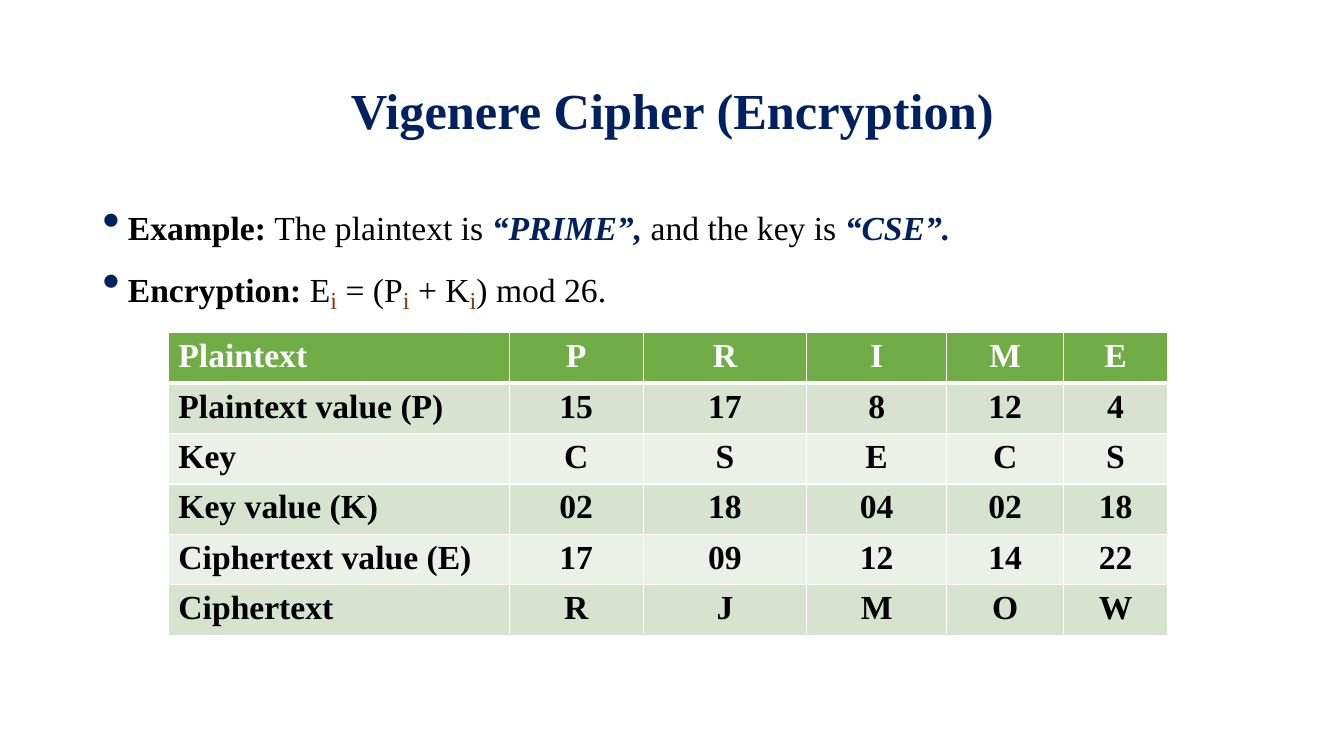
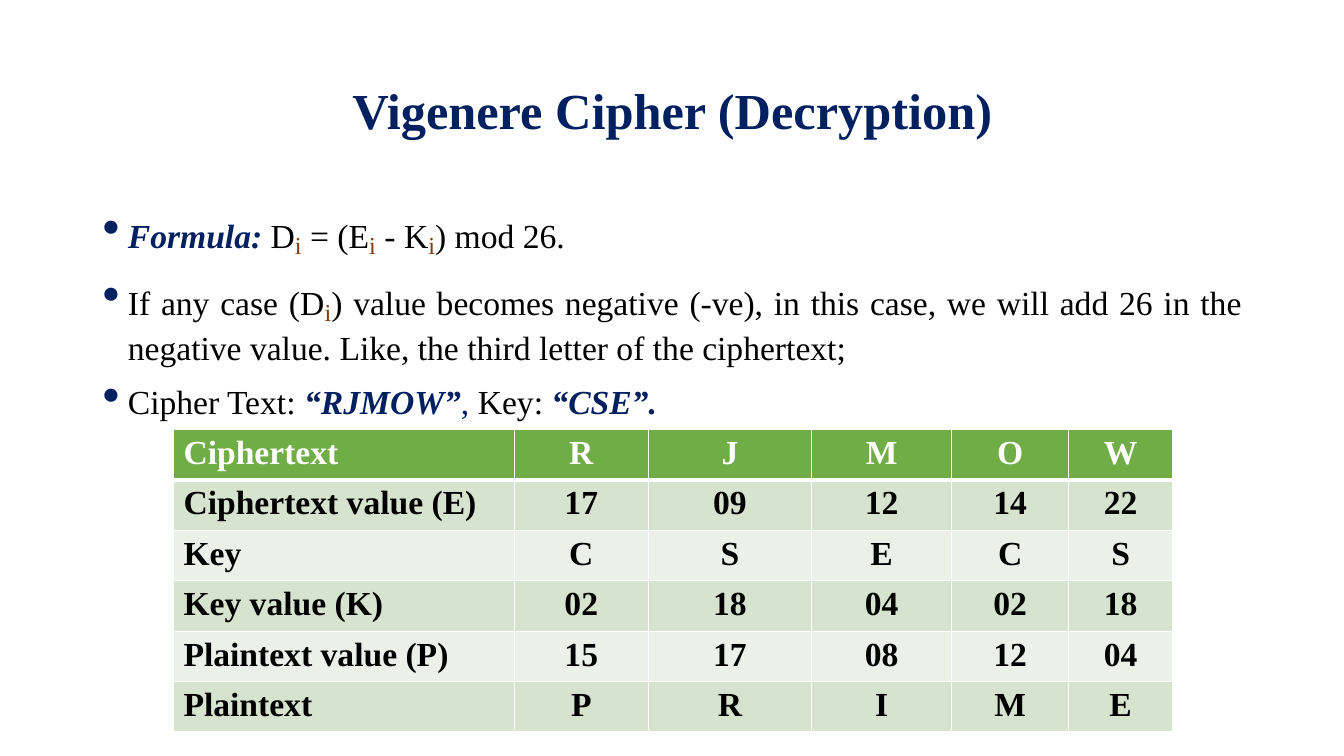
from lxml.etree import SubElement
from pptx import Presentation
from pptx.dml.color import RGBColor
from pptx.enum.text import MSO_ANCHOR, PP_ALIGN
from pptx.oxml.ns import qn
from pptx.util import Emu, Inches, Pt

FONT = "Times New Roman"
COLORS = {
    "navy": "002060", "black": "000000", "brown": "843C0B", "white": "FFFFFF",
    "header": "70AD47", "band_dark": "D5E3CF", "band_light": "EBF1E9",
}
STYLES = {
    "plain": {},
    "bold": {"bold": True},
    "accent": {"color": "navy", "bold": True, "italic": True},
    "navy": {"color": "navy"},
    "index": {"color": "brown", "size": 30, "baseline": -15},
}
TITLE_BOX = (0.92, 0.4, 11.5, 1.45)
BODY_BOX = (0.92, 2, 11.5, 5.26)
COLUMN_WIDTHS = (3.38, 1.33, 1.62, 1.39, 1.16, 1.03)
ROW_HEIGHT = 0.47
INDENT = 0.25

INDEX = ("i", "index")
SLIDES = [
    {
        "title": "Vigenere Cipher (Encryption)",
        "bullets": [
            [("Example: ", "bold"), ("The plaintext is ", "plain"), ("“PRIME”, ", "accent"),
             ("and the key is ", "plain"), ("“CSE”.", "accent")],
            [("Encryption: ", "bold"), ("E", "plain"), INDEX, (" = (P", "plain"), INDEX,
             (" + K", "plain"), INDEX, (") mod 26.", "plain")],
        ],
        "table_at": (1.67, 3.3),
        "rows": [
            ("Plaintext", "P", "R", "I", "M", "E"),
            ("Plaintext value (P)", "15", "17", "8", "12", "4"),
            ("Key", "C", "S", "E", "C", "S"),
            ("Key value (K)", "02", "18", "04", "02", "18"),
            ("Ciphertext value (E)", "17", "09", "12", "14", "22"),
            ("Ciphertext", "R", "J", "M", "O", "W"),
        ],
    },
    {
        "title": "Vigenere Cipher (Decryption)",
        "bullets": [
            [("Formula: ", "accent"), ("D", "plain"), INDEX, (" = (E", "plain"), INDEX,
             (" - K", "plain"), INDEX, (") mod 26.", "plain")],
            [("If any case (D", "plain"), INDEX,
             (") value becomes negative (-ve), in this case, we will add 26 in the "
              "negative value. Like, the third letter of the ciphertext;", "plain")],
            [("Cipher Text: ", "plain"), ("“RJMOW”", "accent"), (", ", "navy"),
             ("Key: ", "plain"), ("“CSE”.", "accent")],
        ],
        "table_at": (1.72, 4.26),
        "rows": [
            ("Ciphertext", "R", "J", "M", "O", "W"),
            ("Ciphertext value (E)", "17", "09", "12", "14", "22"),
            ("Key", "C", "S", "E", "C", "S"),
            ("Key value (K)", "02", "18", "04", "02", "18"),
            ("Plaintext value (P)", "15", "17", "08", "12", "04"),
            ("Plaintext", "P", "R", "I", "M", "E"),
        ],
    },
]


def rgb(name):
    return RGBColor.from_string(COLORS[name])


def write(paragraph, text, *, size=24, color="black", bold=False, italic=False,
          baseline=0, align=None):
    """Append one formatted run; baseline is a percentage shift."""
    if align is not None:
        paragraph.alignment = align
    run = paragraph.add_run()
    run.text = text
    font = run.font
    font.name, font.size, font.bold, font.italic = FONT, Pt(size), bold, italic
    font.color.rgb = rgb(color)
    if baseline:
        run._r.get_or_add_rPr().set("baseline", str(baseline * 1000))


def add_frame(slide, box, anchor=MSO_ANCHOR.TOP):
    frame = slide.shapes.add_textbox(*map(Inches, box)).text_frame
    frame.word_wrap = True
    frame.vertical_anchor = anchor
    return frame


def add_title(slide, title):
    paragraph = add_frame(slide, TITLE_BOX, MSO_ANCHOR.MIDDLE).paragraphs[0]
    paragraph.line_spacing = 0.9
    write(paragraph, title, size=36, color="navy", bold=True, align=PP_ALIGN.CENTER)


def set_bullet(paragraph):
    properties = paragraph._p.get_or_add_pPr()
    properties.set("marL", str(Inches(INDENT)))
    properties.set("indent", str(-Inches(INDENT)))
    color = SubElement(properties, qn("a:buClr"))
    SubElement(color, qn("a:srgbClr"), val=COLORS["navy"])
    SubElement(properties, qn("a:buSzPct"), val="150000")
    SubElement(properties, qn("a:buChar"), char="•")


def add_bullets(slide, bullets):
    frame = add_frame(slide, BODY_BOX)
    for number, runs in enumerate(bullets):
        paragraph = frame.add_paragraph() if number else frame.paragraphs[0]
        set_bullet(paragraph)
        if number:
            paragraph.space_before = Pt(10)
        for text, style in runs:
            write(paragraph, text, align=PP_ALIGN.JUSTIFY, **STYLES[style])


def set_borders(cell, **widths):
    properties = cell._tc.get_or_add_tcPr()
    for side in "LRTB":
        line = SubElement(properties, qn(f"a:ln{side}"), w=str(Pt(widths.get(side, 1))))
        fill = SubElement(line, qn("a:solidFill"))
        SubElement(fill, qn("a:srgbClr"), val=COLORS["white"])


def add_cipher_table(slide, rows, left, top):
    table = slide.shapes.add_table(
        len(rows), len(COLUMN_WIDTHS), Inches(left), Inches(top),
        Inches(sum(COLUMN_WIDTHS)), Inches(ROW_HEIGHT * len(rows))).table
    for column, width in zip(table.columns, COLUMN_WIDTHS):
        column.width = Inches(width)
    for r, row in enumerate(rows):
        table.rows[r].height = Inches(ROW_HEIGHT)
        band = "header" if r == 0 else "band_dark" if r % 2 else "band_light"
        for c, text in enumerate(row):
            cell = table.cell(r, c)
            set_borders(cell, T=3 if r == 1 else 1, B=3 if r == 0 else 1)
            cell.fill.solid()
            cell.fill.fore_color.rgb = rgb(band)
            write(cell.text_frame.paragraphs[0], text, bold=True,
                  color="black" if r else "white",
                  align=PP_ALIGN.CENTER if c else PP_ALIGN.JUSTIFY)


def main():
    deck = Presentation()
    deck.slide_width, deck.slide_height = Inches(13.33), Inches(7.5)
    for content in SLIDES:
        slide = deck.slides.add_slide(deck.slide_layouts[6])
        add_title(slide, content["title"])
        add_bullets(slide, content["bullets"])
        add_cipher_table(slide, content["rows"], *content["table_at"])
    deck.save("out.pptx")


if __name__ == "__main__":
    main()
